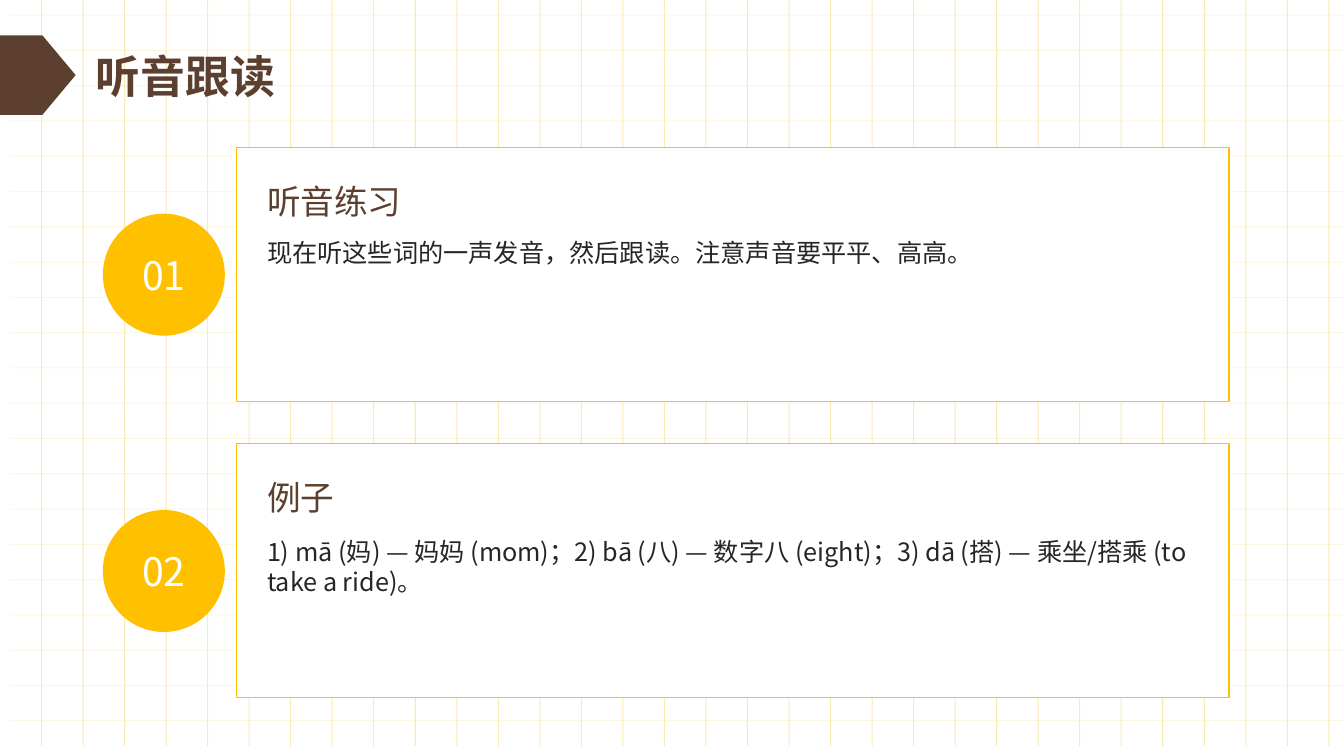
from dataclasses import dataclass

from lxml import etree
from pptx import Presentation
from pptx.dml.color import RGBColor
from pptx.enum.shapes import MSO_CONNECTOR, MSO_SHAPE
from pptx.enum.text import MSO_ANCHOR, PP_ALIGN
from pptx.oxml.ns import qn
from pptx.util import Inches, Pt

STRAIGHT = MSO_CONNECTOR.STRAIGHT
RECTANGLE, OVAL, PENTAGON = MSO_SHAPE.RECTANGLE, MSO_SHAPE.OVAL, MSO_SHAPE.PENTAGON
TOP, MIDDLE = MSO_ANCHOR.TOP, MSO_ANCHOR.MIDDLE
LEFT, CENTER = PP_ALIGN.LEFT, PP_ALIGN.CENTER

CARDS = [
    ("01", "听音练习", "现在听这些词的一声发音，然后跟读。注意声音要平平、高高。", 0.85),
    ("02", "例子", "1) mā (妈) — 妈妈 (mom)；2) bā (八) — 数字八 (eight)；"
     "3) dā (搭) — 乘坐/搭乘 (to take a ride)。", 0.87),
]
CARD_TOP, CARD_STEP = 1.46, 2.94
ROW_COUNT, ROW_START, ROW_STEP = 21, 0.15, 0.35
COLUMN_COUNT, LAST_COLUMN = 32, 13.18


@dataclass(frozen=True)
class Theme:
    """Colours, font and type sizes of the slide."""
    grid: str = "F7E288"
    accent: str = "FFC000"
    brown: str = "5C3F2F"
    body: str = "262626"
    white: str = "FFFFFF"
    font: str = "Noto Sans CJK SC"
    title_size: int = 32
    badge_size: int = 28
    heading_size: int = 24
    body_size: int = 18
    line_width: float = 0.75


class SlideBuilder:
    """Draws styled elements on the current slide."""

    def __init__(self, slide, theme):
        self.slide = slide
        self.theme = theme

    def grid_line(self, x1, y1, x2, y2, opacity):
        """Draw one translucent grid line."""
        line = self.slide.shapes.add_connector(
            STRAIGHT, Inches(x1), Inches(y1), Inches(x2), Inches(y2))
        line.line.width = Pt(self.theme.line_width)
        line.line.color.rgb = RGBColor.from_string(self.theme.grid)
        properties = line._element.spPr
        color = properties.find(".//" + qn("a:srgbClr"))
        etree.SubElement(color, qn("a:alpha"), val=str(opacity * 1000))
        etree.SubElement(properties, qn("a:effectLst"))

    def shape(self, kind, left, top, width, height, fill, outline=None):
        """Draw a filled preset shape."""
        shape = self.slide.shapes.add_shape(
            kind, Inches(left), Inches(top), Inches(width), Inches(height))
        shape.shadow.inherit = False
        shape.fill.solid()
        shape.fill.fore_color.rgb = RGBColor.from_string(fill)
        if outline:
            shape.line.color.rgb = RGBColor.from_string(outline)
            shape.line.width = Pt(self.theme.line_width)
        else:
            shape.line.fill.background()
        return shape

    def set_text(self, box, text, size, color, anchor=TOP, align=LEFT, bold=False, spacing=None):
        """Put one styled paragraph in a box."""
        frame = box.text_frame
        frame.text = text
        frame.word_wrap = True
        frame.vertical_anchor = anchor
        para = frame.paragraphs[0]
        para.alignment = align
        if spacing:
            para.line_spacing = spacing
        span = para.runs[0]
        span.font.name = self.theme.font
        span.font.size = Pt(size)
        span.font.bold = bold
        span.font.color.rgb = RGBColor.from_string(color)
        etree.SubElement(span._r.get_or_add_rPr(), qn("a:ea"), typeface=self.theme.font)

    def text(self, left, top, width, height, text, size, color, **style):
        """Add a text box."""
        box = self.slide.shapes.add_textbox(
            Inches(left), Inches(top), Inches(width), Inches(height))
        self.set_text(box, text, size, color, **style)

    def badge(self, left, top, diameter, number):
        """Draw a numbered circle."""
        circle = self.shape(OVAL, left, top, diameter, diameter, self.theme.accent)
        frame = circle.text_frame
        frame.margin_left = frame.margin_right = 0
        frame.margin_top = frame.margin_bottom = 0
        self.set_text(circle, number, self.theme.badge_size, self.theme.white,
                      anchor=MIDDLE, align=CENTER)

    def card(self, top, number, heading, body, body_offset):
        """Draw a framed card with its badge, heading and body."""
        theme = self.theme
        self.shape(RECTANGLE, 2.35, top, 9.84, 2.52, theme.white, theme.accent)
        self.badge(1.02, top + 0.66, 1.21, number)
        self.text(2.55, top + 0.22, 9.45, 0.59, heading, theme.heading_size,
                  theme.brown, anchor=MIDDLE, spacing=1.1)
        self.text(2.55, top + body_offset, 9.45, 1.5, body, theme.body_size, theme.body)

    def grid(self):
        """Draw the background grid."""
        for row in range(ROW_COUNT):
            y = ROW_START + row * ROW_STEP
            self.grid_line(0.1, y, 13.33, y, 25)
        for column in range(1, COLUMN_COUNT + 1):
            x = LAST_COLUMN * column / COLUMN_COUNT
            self.grid_line(x, -0.1, x, 7.4, 64)

    def title(self, text):
        """Draw the title and its arrow tab."""
        theme = self.theme
        self.text(0.85, 0.35, 11.81, 0.79, text, theme.title_size, theme.brown,
                  anchor=MIDDLE, bold=True)
        tab = self.shape(PENTAGON, 0, 0.35, 0.75, 0.79, theme.brown)
        tab.adjustments[0] = 0.44


def main():
    """Build and save the slide."""
    deck = Presentation()
    deck.slide_width = Inches(13.33)
    deck.slide_height = Inches(7.5)
    page = SlideBuilder(deck.slides.add_slide(deck.slide_layouts[6]), Theme())
    page.grid()
    for index, card in enumerate(CARDS):
        page.card(CARD_TOP + index * CARD_STEP, *card)
    page.title("听音跟读")
    deck.save("out.pptx")


if __name__ == "__main__":
    main()
